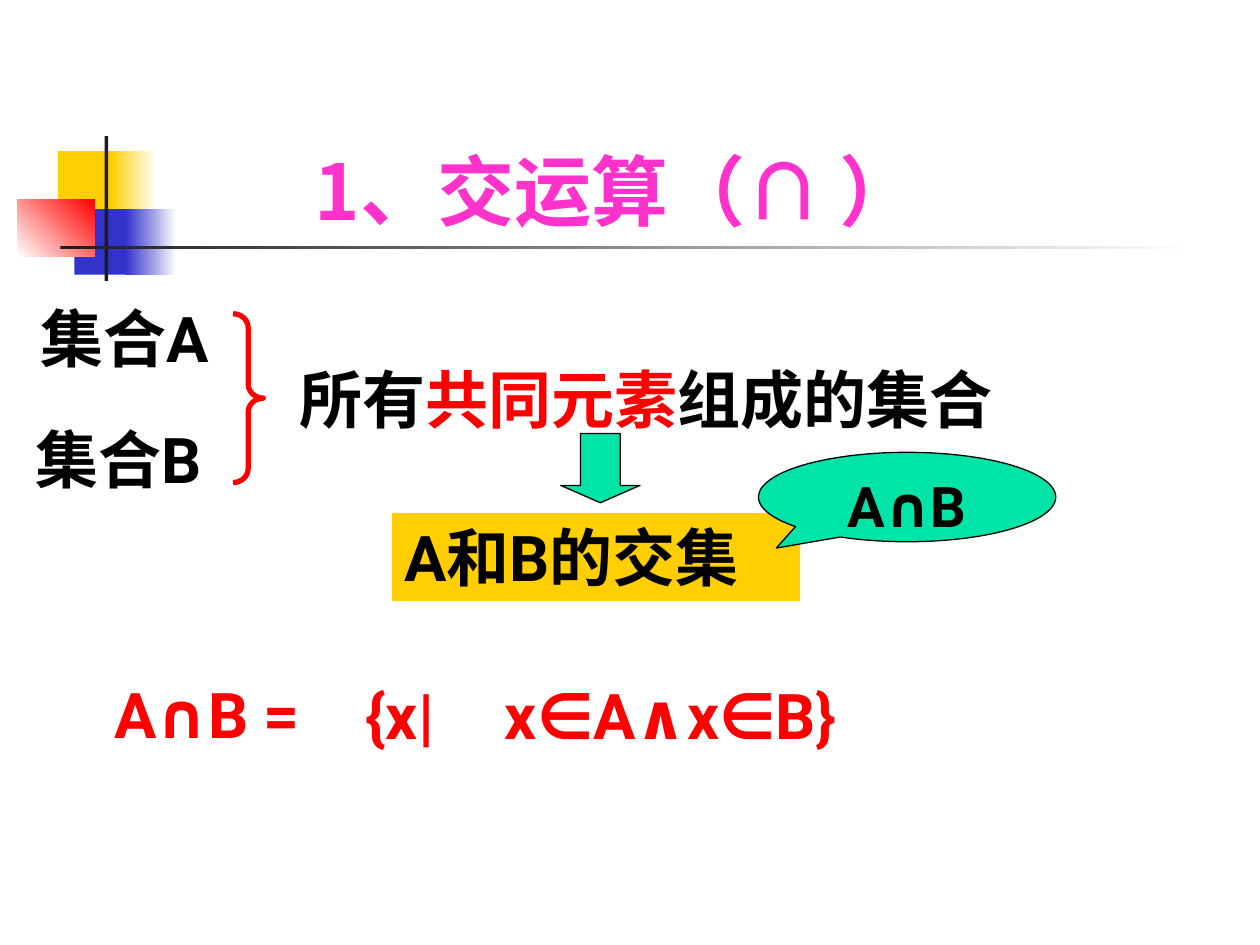
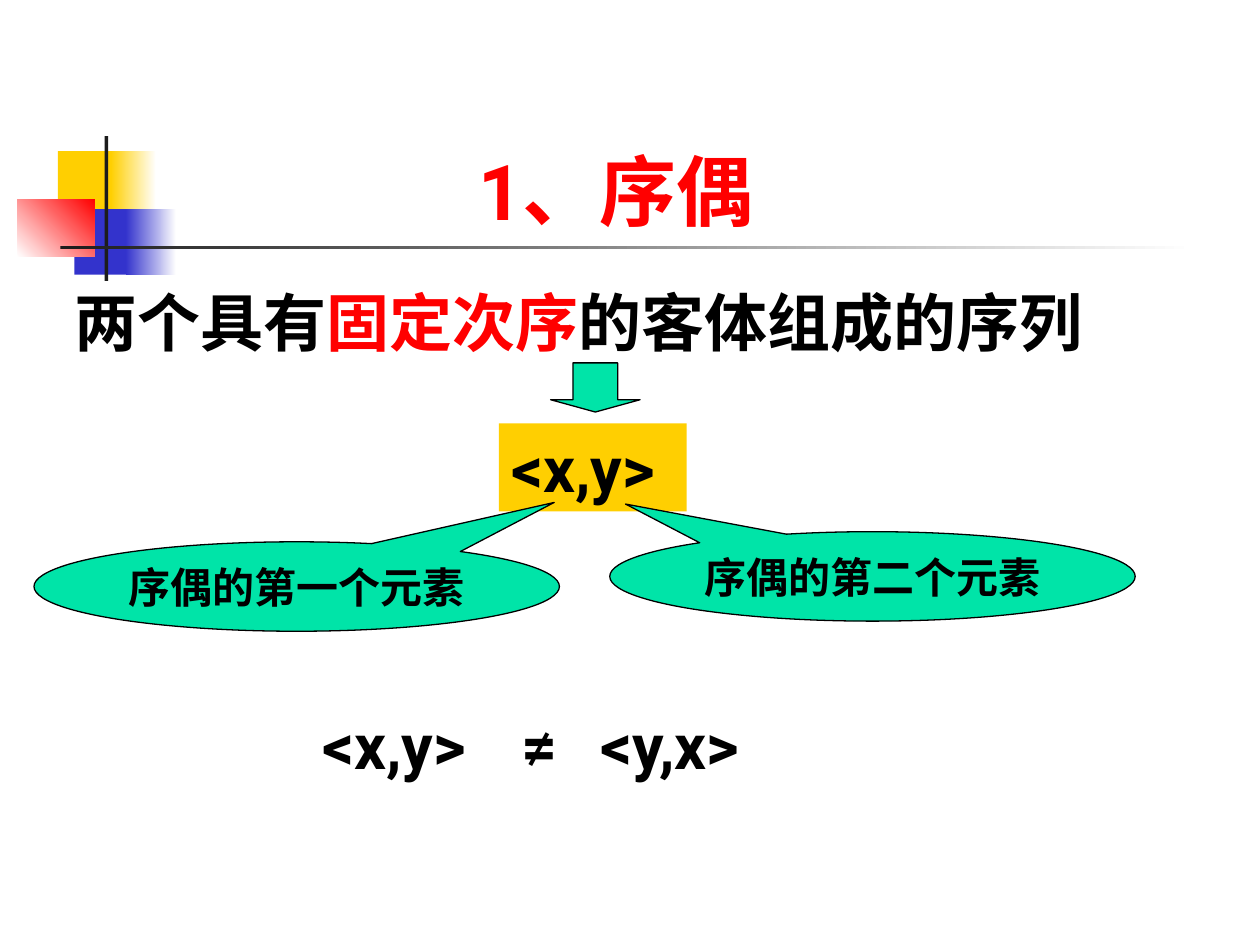
import pptx
import pptx.util
import pptx.dml.color
import pptx.enum.shapes
import pptx.enum.text
import pptx.oxml
import pptx.oxml.ns

Inches = pptx.util.Inches
Preset = pptx.enum.shapes.MSO_SHAPE
Align = pptx.enum.text.PP_ALIGN
Anchor = pptx.enum.text.MSO_ANCHOR
AutoSize = pptx.enum.text.MSO_AUTO_SIZE

LATIN, ASIAN = "Roboto", "Noto Sans CJK JP"
BLACK, RED, PINK, WHITE = "000000", "FF0000", "FF33CC", "FFFFFF"
YELLOW, BLUE, GREEN, DARK = "FFCF01", "3333CC", "00E4A8", "1C1C1C"


def rgb(value):
    return pptx.dml.color.RGBColor.from_string(value)


def write(frame, text, size=36, color=BLACK, font=LATIN, align=Align.LEFT,
          anchor=Anchor.TOP, wrap=False):
    """Fill a frame with one paragraph; text is a string or (string, color) pairs."""
    frame.word_wrap = wrap
    frame.vertical_anchor = anchor
    para = frame.paragraphs[0]
    para.alignment = align
    parts = [(text, color)] if isinstance(text, str) else text
    for words, tint in parts:
        span = para.add_run()
        span.text = words
        span.font.size = pptx.util.Pt(size)
        span.font.bold = True
        span.font.name = font
        span.font.color.rgb = rgb(tint)
        asian = pptx.oxml.parse_xml(
            f'<a:ea {pptx.oxml.ns.nsdecls("a")} typeface="{ASIAN}"/>')
        span.font._element.find(pptx.oxml.ns.qn("a:latin")).addnext(asian)


class SlideBuilder:
    """Holds the shared style and the slide being drawn."""

    def __init__(self, deck):
        self.deck = deck
        self.page = None

    def new_page(self, title, **style):
        self.page = self.deck.slides.add_slide(self.deck.slide_layouts[6])
        self.ornament()
        box = self.page.shapes.add_textbox(*map(Inches, (0, 0.67, 9.78, 1.25)))
        write(box.text_frame, title, size=44, align=Align.CENTER,
              anchor=Anchor.BOTTOM, wrap=True, **style)

    def ornament(self):
        # Overlapping squares with the cross lines
        self.shape(Preset.RECTANGLE, 0.46, 1.2, 0.48, 0.52, YELLOW)
        self.gradient(0.88, 1.2, 0.36, 0.52, YELLOW, WHITE)
        self.shape(Preset.RECTANGLE, 0.59, 1.66, 0.46, 0.52, BLUE)
        self.gradient(1, 1.66, 0.4, 0.52, BLUE, WHITE)
        self.gradient(0.14, 1.58, 0.61, 0.46, WHITE, RED, angle=45)
        self.shape(Preset.RECTANGLE, 0.83, 1.08, 0.03, 1.15, DARK)
        self.gradient(0.48, 1.95, 9, 0.03, DARK, WHITE)

    def shape(self, preset, left, top, width, height, fill=None, line=None,
              weight=0.75, adjust=()):
        shape = self.page.shapes.add_shape(
            preset, *map(Inches, (left, top, width, height)))
        shape.shadow.inherit = False
        for index, value in enumerate(adjust):
            shape.adjustments[index] = value
        if fill:
            shape.fill.solid()
            shape.fill.fore_color.rgb = rgb(fill)
        else:
            shape.fill.background()
        if line:
            shape.line.color.rgb = rgb(line)
            shape.line.width = pptx.util.Pt(weight)
        else:
            shape.line.fill.background()
        return shape

    def gradient(self, left, top, width, height, start, end, angle=0):
        shape = self.shape(Preset.RECTANGLE, left, top, width, height)
        shape.fill.gradient()
        shape.fill.gradient_angle = angle
        for stop, color in zip(shape.fill.gradient_stops, (start, end)):
            stop.color.rgb = rgb(color)

    def label(self, left, top, width, text, fill=None, **style):
        box = self.page.shapes.add_textbox(
            *map(Inches, (left, top, width, 0.7)))
        if fill:
            box.fill.solid()
            box.fill.fore_color.rgb = rgb(fill)
        write(box.text_frame, text, **style)
        box.text_frame.auto_size = AutoSize.SHAPE_TO_FIT_TEXT

    def down_arrow(self, left, top, width, height):
        self.shape(Preset.DOWN_ARROW, left, top, width, height, GREEN, BLACK,
                   adjust=(0.5, 0.25))

    def brace(self, left, top, width, height):
        self.shape(Preset.RIGHT_BRACE, left, top, width, height, line=RED,
                   weight=3, adjust=(0.46, 0.5))

    def callout(self, left, top, width, text, size, tip):
        shape = self.shape(Preset.OVAL_CALLOUT, left, top, width, 0.71,
                           GREEN, BLACK, adjust=tip)
        write(shape.text_frame, text, size=size, align=Align.CENTER, wrap=True)


def intersection_page(builder):
    builder.new_page("1、交运算（∩ ）", color=PINK, font=ASIAN)
    # Two sets joined into their common elements
    builder.label(0.22, 2.33, 1.66, "集合A")
    builder.label(0.18, 3.29, 1.65, "集合B")
    builder.brace(1.85, 2.49, 0.24, 1.34)
    builder.label(2.28, 2.81, 5.7, [
        ("所有", BLACK), ("共同元素", RED), ("组成的集合", BLACK)])
    # Name and symbol
    builder.down_arrow(4.45, 3.44, 0.63, 0.55)
    builder.label(3.11, 4.07, 3.24, "A和B的交集", fill=YELLOW)
    builder.callout(6.02, 3.59, 2.36, "A∩B", 32, (-0.44, 0.57))
    # Definition
    builder.label(0.81, 5.31, 1.7, "A∩B =", color=RED)
    builder.label(2.8, 5.32, 0.96, "{x|", color=RED)
    builder.label(3.91, 5.32, 2.96, "x∈A∧x∈B}", color=RED)


def ordered_pair_page(builder):
    builder.new_page("1、序偶", color=RED)
    # Definition and notation
    builder.label(0.49, 2.2, 8.2, [
        ("两个具有", BLACK), ("固定次序", RED), ("的客体组成的序列", BLACK)])
    builder.down_arrow(4.37, 2.88, 0.71, 0.39)
    builder.label(3.96, 3.36, 1.49, "<x,y>", fill=YELLOW)
    # First and second element
    builder.callout(0.27, 4.3, 4.17, "序偶的第一个元素", 24, (0.49, -0.94))
    builder.callout(4.84, 4.22, 4.17, "序偶的第二个元素", 24, (-0.47, -0.81))
    # Order matters
    for left, width, text in ((2.46, 1.49, "<x,y>"), (4.04, 0.48, "≠"),
                              (4.67, 1.49, "<y,x>")):
        builder.label(left, 5.56, width, text)


def main():
    deck = pptx.Presentation()
    deck.slide_width, deck.slide_height = Inches(10), Inches(7.5)
    builder = SlideBuilder(deck)
    intersection_page(builder)
    ordered_pair_page(builder)
    deck.save("out.pptx")


if __name__ == "__main__":
    main()
